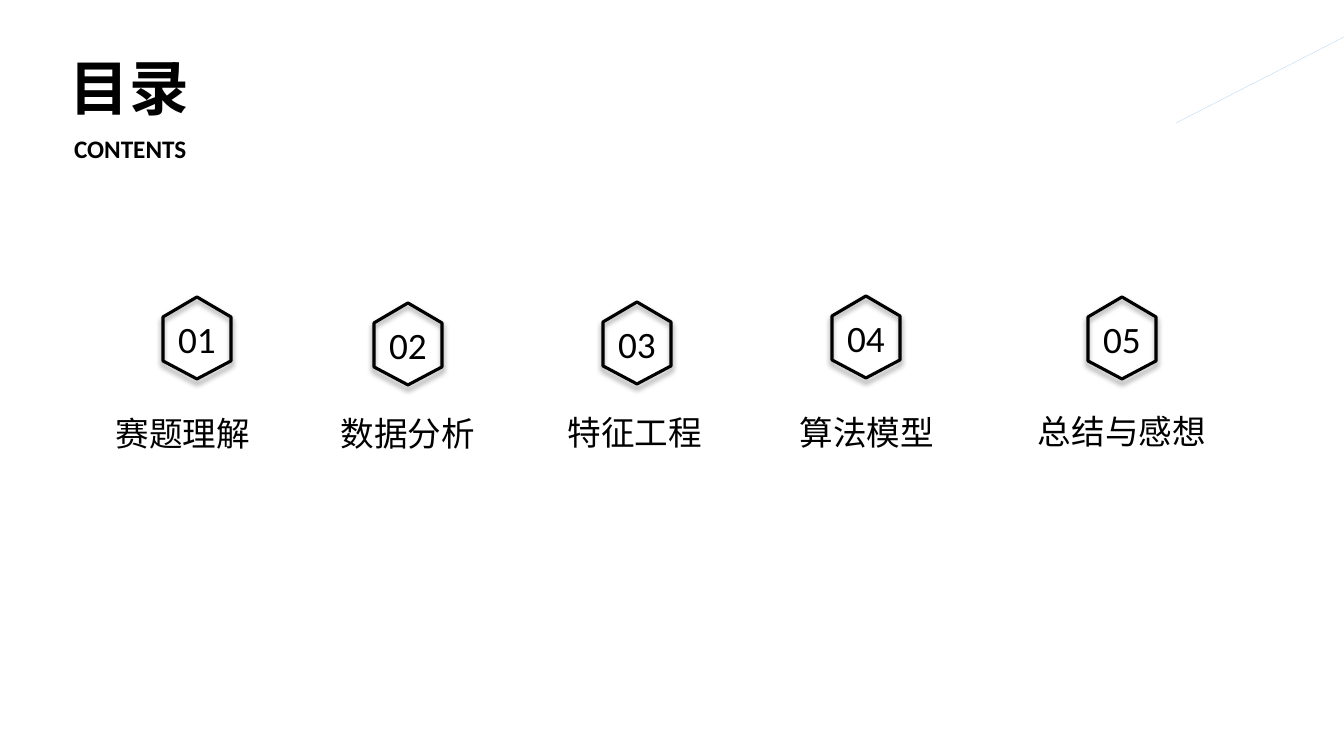
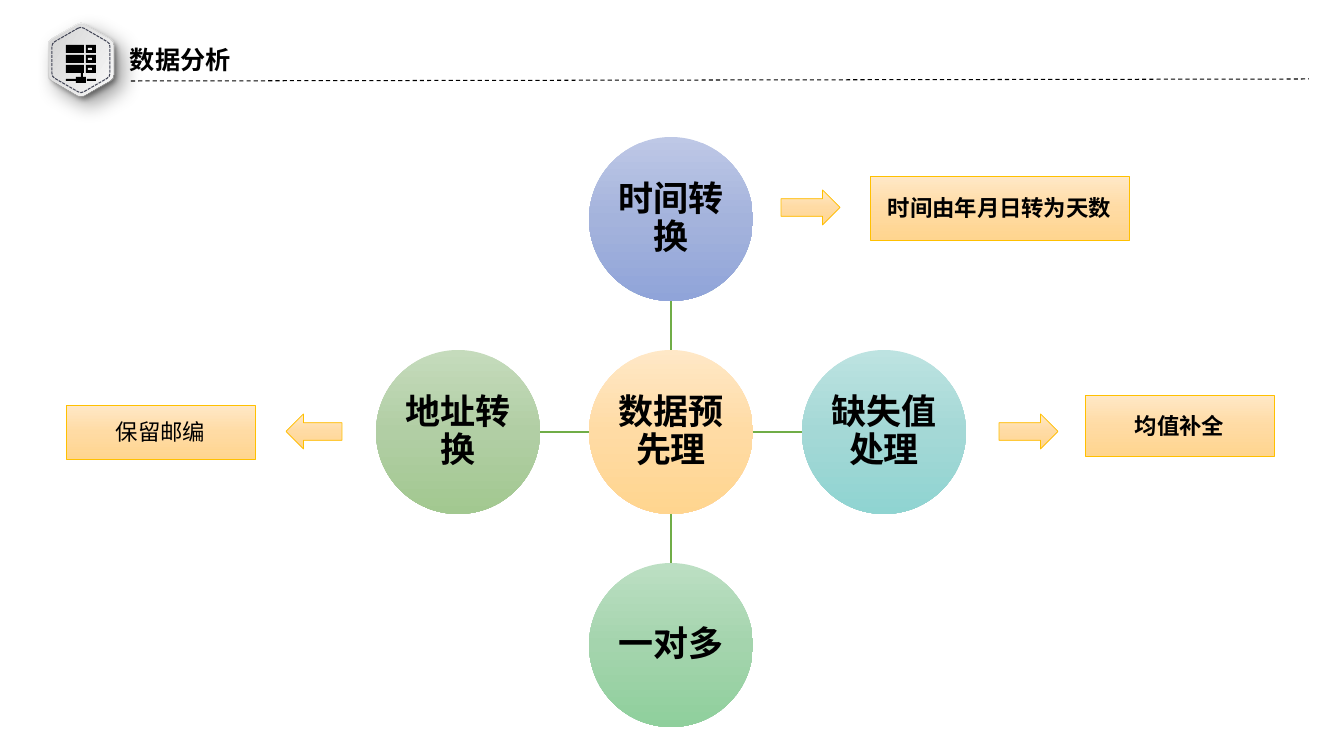
import math

from lxml import etree
from pptx import Presentation
from pptx.dml.color import RGBColor
from pptx.enum.dml import MSO_LINE
from pptx.enum.shapes import MSO_CONNECTOR, MSO_SHAPE
from pptx.enum.text import MSO_ANCHOR, PP_ALIGN
from pptx.oxml.ns import qn
from pptx.util import Emu, Pt

PX = 914400 / 100.8
PAGE_WIDTH, PAGE_HEIGHT = 1344, 756

LEFT, CENTER = PP_ALIGN.LEFT, PP_ALIGN.CENTER
TOP, MIDDLE = MSO_ANCHOR.TOP, MSO_ANCHOR.MIDDLE
STRAIGHT = MSO_CONNECTOR.STRAIGHT
RECTANGLE, OVAL = MSO_SHAPE.RECTANGLE, MSO_SHAPE.OVAL
RIGHT_ARROW, LEFT_ARROW = MSO_SHAPE.RIGHT_ARROW, MSO_SHAPE.LEFT_ARROW
DASH, SHORT_DASH = MSO_LINE.DASH, MSO_LINE.SQUARE_DOT

LATIN_FONT, CHINESE_FONT = "Calibri", "Noto Sans CJK SC"
COLORS = {
    "ink": "000000",
    "accent": "5B9BD5",
    "link": "70AD47",
    "note_line": "FFC000",
    "badge_line": "414455",
    "icon_slot": "E6E6E6",
}
GRADIENTS = {
    "orange": ("FFE8C7", "FFDBA4", "FFD58F"),
    "blue": ("BEC8E6", "A4B3DC", "90A4D9"),
    "teal": ("BDE3E1", "A4D8D6", "8FD4D1"),
    "green": ("BCDFC3", "A4D4AD", "8FCF9C"),
    "olive": ("C5DBBC", "B1CEA4", "A2C890"),
    "badge": ("D3D3D3", "F9F9F9"),
}


def px(value):
    return Emu(round(value * PX))


def rgb(name):
    return RGBColor.from_string(COLORS[name])


def write(shape, text, size, bold=False, font=LATIN_FONT, align=LEFT,
          anchor=TOP, margins=(10, 5), wrap=True):
    """Set one styled paragraph; margins are (sides, top and bottom)."""
    frame = shape.text_frame
    frame.text = text
    frame.word_wrap = wrap
    frame.vertical_anchor = anchor
    frame.margin_left = frame.margin_right = px(margins[0])
    frame.margin_top = frame.margin_bottom = px(margins[1])
    para = frame.paragraphs[0]
    para.alignment = align
    span = para.runs[0]
    span.font.size = Pt(size)
    span.font.bold = bold
    span.font.color.rgb = rgb("ink")
    span.font.name = font
    etree.SubElement(span.font._element, qn("a:ea"), typeface=CHINESE_FONT)
    return para


def add_text(page, box, text, size, **style):
    write(page.shapes.add_textbox(*map(px, box)), text, size, **style)


def add_line(page, start, end, color, width, dash=None, opacity=100):
    line = page.shapes.add_connector(STRAIGHT, *map(px, start + end))
    line.line.color.rgb = rgb(color)
    line.line.width = Pt(width)
    if dash:
        line.line.dash_style = dash
    properties = line._element.spPr
    if opacity < 100:
        color_node = properties.find(".//" + qn("a:srgbClr"))
        etree.SubElement(color_node, qn("a:alpha"), val=str(opacity * 1000))
    etree.SubElement(properties, qn("a:effectLst"))


def fill_gradient(shape, name, angle=90):
    """Fill with evenly spaced stops; the angle runs clockwise."""
    shape.fill.gradient()
    shape.fill.gradient_angle = -angle % 360
    stops = shape._element.spPr.find(".//" + qn("a:gsLst"))
    for stop in list(stops):
        stops.remove(stop)
    colors = GRADIENTS[name]
    for index, color in enumerate(colors):
        position = index * 100000 // (len(colors) - 1)
        stop = etree.SubElement(stops, qn("a:gs"), pos=str(position))
        etree.SubElement(stop, qn("a:srgbClr"), val=color)


def add_shadow(shape, blur, distance, angle):
    effects = shape._element.spPr.find(qn("a:effectLst"))
    shadow = etree.SubElement(
        effects, qn("a:outerShdw"), blurRad=str(Pt(blur)), dist=str(Pt(distance)),
        dir=str(angle * 60000), algn="ctr", rotWithShape="0")
    color = etree.SubElement(shadow, qn("a:srgbClr"), val=COLORS["ink"])
    etree.SubElement(color, qn("a:alpha"), val="40000")


def set_outline(shape, color, width, dash=None):
    shape.line.color.rgb = rgb(color)
    shape.line.width = Pt(width)
    if dash:
        shape.line.dash_style = dash


def add_shape(page, kind, box):
    """Add a preset shape without outline or shadow."""
    shape = page.shapes.add_shape(kind, *map(px, box))
    shape.shadow.inherit = False
    shape.line.fill.background()
    return shape


def add_polygon(page, points):
    """Add a closed outline without fill, line or shadow."""
    corners = [(px(x), px(y)) for x, y in points]
    builder = page.shapes.build_freeform(*corners[0], scale=1.0)
    builder.add_line_segments(corners[1:], close=True)
    shape = builder.convert_to_shape()
    shape.shadow.inherit = False
    shape.fill.background()
    shape.line.fill.background()
    return shape


def rounded_hexagon(center_x, center_y, apothem, cut=0.1):
    """Points of an upright hexagon whose corners are softened."""
    radius = apothem / math.cos(math.pi / 6)
    corners = [(center_x + radius * math.sin(k * math.pi / 3),
                center_y - radius * math.cos(k * math.pi / 3)) for k in range(6)]
    points = []
    for index, corner in enumerate(corners):
        before, after = corners[index - 1], corners[(index + 1) % 6]
        for to_before, to_after in ((cut, 0), (cut / 4, cut / 4), (0, cut)):
            points.append(tuple(
                c + (b - c) * to_before + (a - c) * to_after
                for b, c, a in zip(before, corner, after)))
    return points


def add_contents_item(page, left, top, number, label, label_center, label_top):
    outline = ((34, 0), (68, 20), (68, 64), (34, 82), (0, 64), (0, 20))
    hexagon = add_polygon(page, [(left + x, top + y) for x, y in outline])
    set_outline(hexagon, "ink", 2.25)
    add_shadow(hexagon, 4, 3, 90)
    add_text(page, (left + 5, top + 14, 58, 55), number, 26.6,
             align=CENTER, wrap=False)
    add_text(page, (label_center - 115, label_top, 230, 50), label, 24, align=CENTER)


def build_contents(page):
    add_text(page, (60, 46, 369, 83), "目录", 42.6, bold=True)
    add_text(page, (64, 128, 134, 40), "CONTENTS", 18, bold=True, wrap=False)
    add_line(page, (1176, 123), (PAGE_WIDTH, 37), "accent", 0.25, opacity=40)
    items = (
        (163, 297, "赛题理解", 183, 408),
        (374, 303, "数据分析", 408, 408),
        (603, 302, "特征工程", 635, 407),
        (832, 296, "算法模型", 867, 407),
        (1088, 297, "总结与感想", 1122, 406),
    )
    for index, (left, top, label, center, label_top) in enumerate(items, 1):
        add_contents_item(page, left, top, f"{index:02}", label, center, label_top)


def add_server_icon(page, left, top):
    blocks = [(15, 27, 2, 5), (10, 32, 10, 6), (0, 34, 10, 2), (21, 34, 9, 2)]
    slots = []
    for row_top in (0, 10, 20):
        blocks += [(0, row_top, 18, 8), (20, row_top, 10, 8)]
        slots.append((22, row_top + 3, 4, 2))
    for color, parts in (("ink", blocks), ("icon_slot", slots)):
        for x, y, width, height in parts:
            part = add_shape(page, RECTANGLE, (left + x, top + y, width, height))
            part.fill.solid()
            part.fill.fore_color.rgb = rgb(color)


def add_badge(page, center_x, center_y):
    for apothem, angle, shadow in ((33, 301, (15, 9, 45)), (32, 31, (4, 3, 45))):
        plate = add_polygon(page, rounded_hexagon(center_x, center_y, apothem))
        fill_gradient(plate, "badge", angle)
        add_shadow(plate, *shadow)
    seam = add_polygon(page, rounded_hexagon(center_x, center_y, 29))
    set_outline(seam, "badge_line", 0.75, SHORT_DASH)
    add_server_icon(page, center_x - 15, center_y - 15)


def add_section_header(page, title):
    add_text(page, (123, 40, 207, 38), title, 18, bold=True, margins=(7, 4))
    add_badge(page, 81, 60)
    add_line(page, (131, 81), (1309, 79), "ink", 0.75, DASH)


def add_radial_diagram(page, center_x, center_y):
    """Draw a hub circle joined to four circles around it."""
    radius, step = 82, 213
    circles = (
        (0, 0, "数据预先理", "orange"),
        (0, -1, "时间转换", "blue"),
        (1, 0, "缺失值处理", "teal"),
        (0, 1, "一对多", "green"),
        (-1, 0, "地址转换", "olive"),
    )
    for across, down, label, gradient in circles:
        if across or down:
            start, end = ((center_x + across * reach, center_y + down * reach)
                          for reach in (radius, step - radius))
            add_line(page, start, end, "link", 1)
        circle = add_shape(page, OVAL, (
            center_x + across * step - radius, center_y + down * step - radius,
            2 * radius, 2 * radius))
        fill_gradient(circle, gradient)
        para = write(circle, label, 25, bold=True, font=CHINESE_FONT,
                     align=CENTER, anchor=MIDDLE, margins=(2, 2))
        para.line_spacing = 0.9


def add_note(page, arrow_kind, arrow_box, note_box, text, bold=True):
    arrow = add_shape(page, arrow_kind, arrow_box)
    note = add_shape(page, RECTANGLE, note_box)
    for shape in (arrow, note):
        fill_gradient(shape, "orange")
        set_outline(shape, "note_line", 0.5)
    write(note, text, 16, bold=bold, font=CHINESE_FONT, align=CENTER, anchor=MIDDLE)


def build_analysis(page):
    add_section_header(page, "数据分析")
    add_radial_diagram(page, 671, 432)
    add_note(page, LEFT_ARROW, (286, 414, 56, 35), (66, 405, 189, 54),
             "保留邮编", bold=False)
    add_note(page, RIGHT_ARROW, (999, 414, 59, 35), (1085, 395, 189, 61), "均值补全")
    add_note(page, RIGHT_ARROW, (781, 190, 59, 35), (870, 176, 259, 64),
             "时间由年月日转为天数")


def main():
    deck = Presentation()
    deck.slide_width, deck.slide_height = px(PAGE_WIDTH), px(PAGE_HEIGHT)
    blank = deck.slide_layouts[6]
    for build in (build_contents, build_analysis):
        build(deck.slides.add_slide(blank))
    deck.save("out.pptx")


if __name__ == "__main__":
    main()
